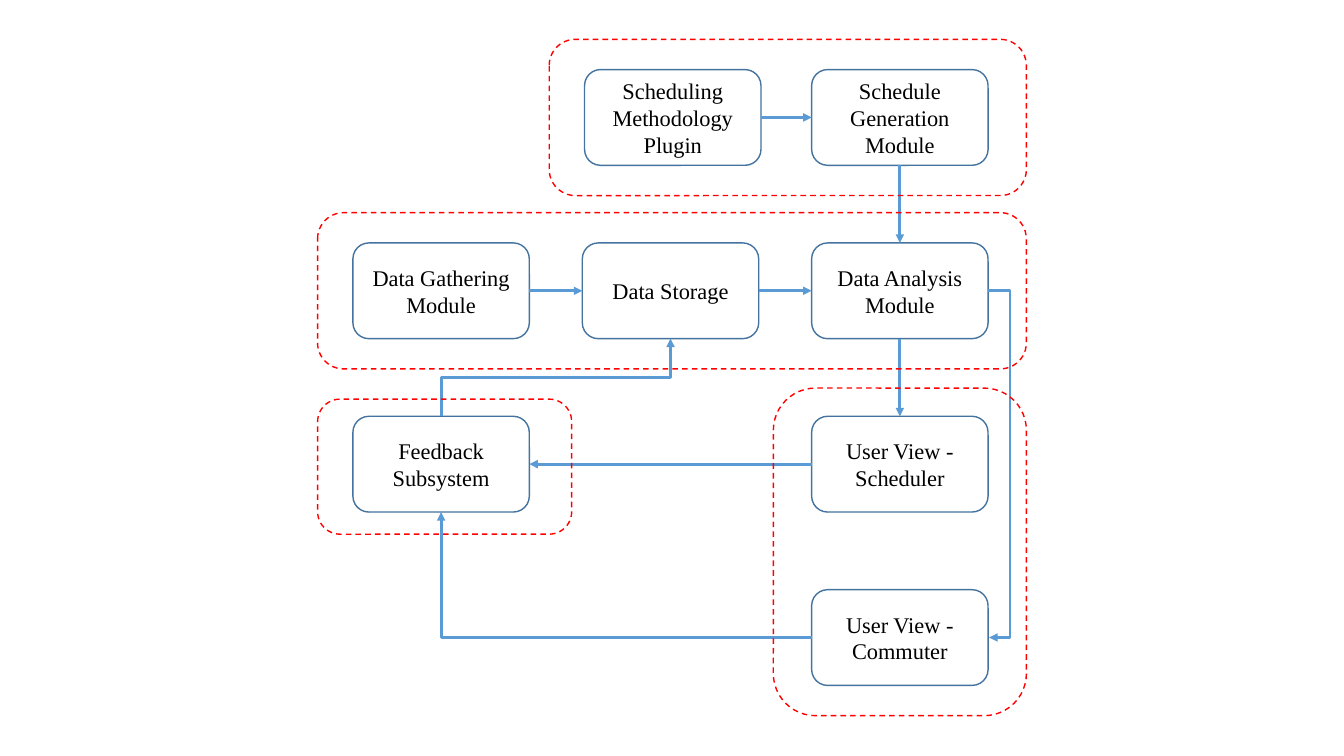
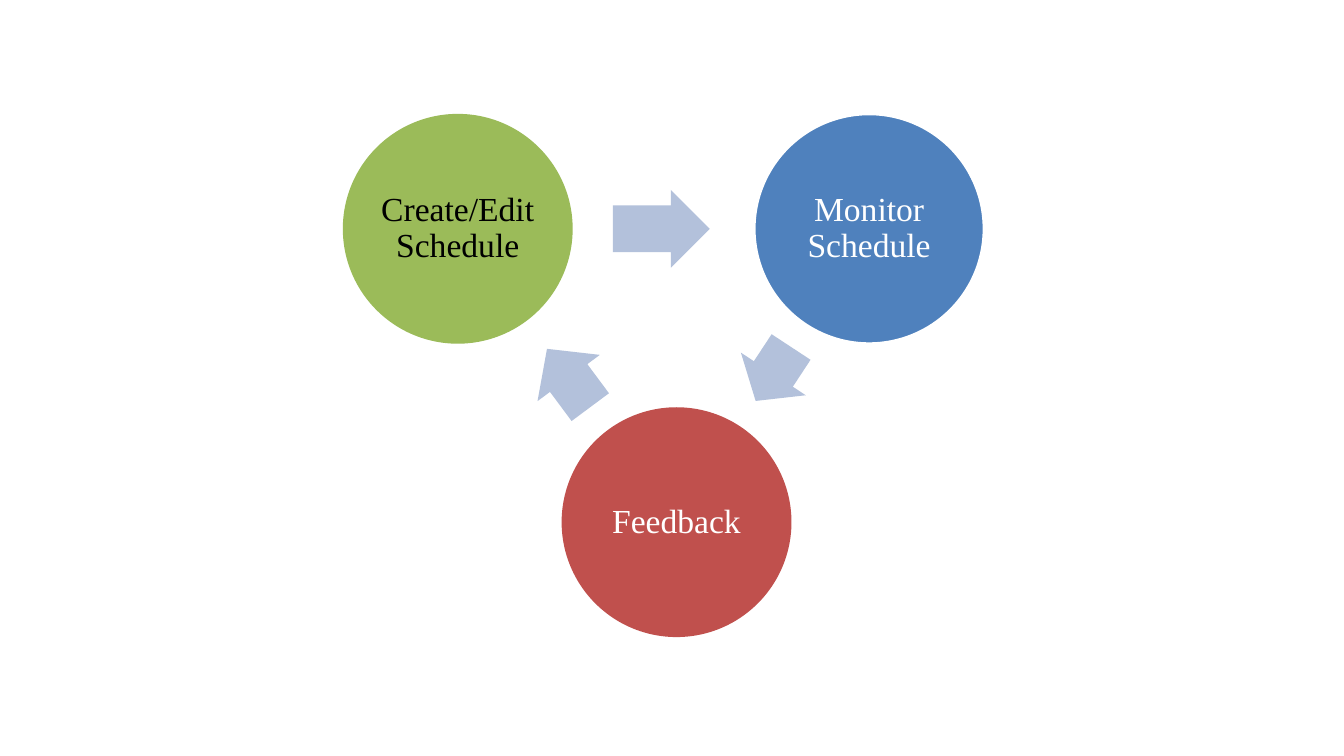
from dataclasses import dataclass
from typing import Optional

from lxml.etree import SubElement
from pptx import Presentation
from pptx.dml.color import RGBColor
from pptx.enum.dml import MSO_LINE
from pptx.enum.shapes import MSO_CONNECTOR, MSO_SHAPE
from pptx.enum.text import MSO_ANCHOR, PP_ALIGN
from pptx.oxml.ns import qn
from pptx.util import Inches, Pt

# Shared style
FONT = "Times New Roman"
BLACK = RGBColor(0x00, 0x00, 0x00)
WHITE = RGBColor(0xFF, 0xFF, 0xFF)
RED = RGBColor(0xFF, 0x00, 0x00)
BLUE = RGBColor(0x5B, 0x9B, 0xD5)
NAVY = RGBColor(0x43, 0x73, 0x9E)
GREEN = RGBColor(0x9B, 0xBB, 0x59)
AZURE = RGBColor(0x4F, 0x81, 0xBD)
BRICK = RGBColor(0xC0, 0x50, 0x4D)
PALE = RGBColor(0xB3, 0xC1, 0xDB)

# Module grid, in inches
LEFT, TOP = 3.5, 0.69
STEP, RISE = 2.275, 1.72
WIDE, HIGH = 1.75, 0.95
UP, WEST, DOWN, EAST = range(4)


@dataclass
class Box:
    text: str
    col: float
    row: float

    @property
    def x(self) -> float:
        return LEFT + self.col * STEP

    @property
    def y(self) -> float:
        return TOP + self.row * RISE

    @property
    def mid(self) -> tuple[float, float]:
        return self.x + WIDE / 2, self.y + HIGH / 2


@dataclass
class Frame:
    first: str
    last: str
    left: float = 0.35
    top: float = 0.3
    right: float = 0.38
    base: float = 0.3


@dataclass
class Link:
    start: str
    out: int
    end: str
    into: int


@dataclass
class Disc:
    text: str
    x: float
    y: float
    fill: RGBColor
    ink: RGBColor
    edge: Optional[RGBColor] = None


@dataclass
class Arrow:
    x: float
    y: float
    wide: float
    turn: float


BOXES = {
    "plugin": Box("Scheduling Methodology Plugin", 1.01, 0),
    "maker": Box("Schedule Generation Module", 2, 0),
    "gather": Box("Data Gathering\nModule", 0, 1),
    "store": Box("Data Storage", 1, 1),
    "study": Box("Data Analysis\nModule", 2, 1),
    "feed": Box("Feedback Subsystem", 0, 2),
    "planner": Box("User View - Scheduler", 2, 2),
    "rider": Box("User View - Commuter", 2, 3),
}
LINKS = [
    Link("plugin", EAST, "maker", WEST),
    Link("maker", DOWN, "study", UP),
    Link("gather", EAST, "store", WEST),
    Link("store", EAST, "study", WEST),
    Link("study", DOWN, "planner", UP),
    Link("planner", WEST, "feed", EAST),
]
FRAMES = [
    Frame("plugin", "maker"),
    Frame("gather", "study"),
    Frame("planner", "rider", left=0.38, top=0.28),
    Frame("feed", "feed", top=0.17, right=0.42, base=0.22),
]

# Cycle: centres in inches
SIZE, THICK = 2.28, 0.77
DISCS = [
    Disc("Create/Edit Schedule", 4.54, 2.27, GREEN, BLACK),
    Disc("Monitor Schedule", 8.62, 2.27, AZURE, WHITE, WHITE),
    Disc("Feedback", 6.71, 5.18, BRICK, WHITE),
]
ARROWS = [
    Arrow(6.56, 2.27, 0.96, 0),
    Arrow(7.67, 3.71, 0.64, 123.3),
    Arrow(5.64, 3.75, 0.72, 233.4),
]


def shape(slide, kind, x: float, y: float, w: float, h: float,
          fill: Optional[RGBColor] = None, edge: Optional[RGBColor] = None,
          width: float = 1):
    item = slide.shapes.add_shape(kind, Inches(x), Inches(y), Inches(w), Inches(h))
    item.shadow.inherit = False
    if fill is None:
        item.fill.background()
    else:
        item.fill.solid()
        item.fill.fore_color.rgb = fill
    if edge is None:
        item.line.fill.background()
    else:
        item.line.color.rgb = edge
        item.line.width = Pt(width)
    return item


def write(item, text: str, size: float, ink: RGBColor, space: float = 1) -> None:
    frame = item.text_frame
    frame.word_wrap = True
    frame.vertical_anchor = MSO_ANCHOR.MIDDLE
    frame.text = text
    for para in frame.paragraphs:
        para.alignment = PP_ALIGN.CENTER
        para.line_spacing = space
        para.font.name = FONT
        para.font.size = Pt(size)
        para.font.color.rgb = ink


def wire(slide, kind, x: float = 0, y: float = 0, w: float = 0, h: float = 0):
    line = slide.shapes.add_connector(
        kind, Inches(x), Inches(y), Inches(x + w), Inches(y + h))
    line.line.color.rgb = BLUE
    line.line.width = Pt(2)
    SubElement(line.line._get_or_add_ln(), qn("a:tailEnd"), type="triangle")
    SubElement(line._element.spPr, qn("a:effectLst"))
    return line


def elbow(slide, x: float, y: float, w: float, h: float, turn: int = 0,
          flip: bool = False, preset: str = "bentConnector3",
          bend: Optional[float] = None) -> None:
    props = wire(slide, MSO_CONNECTOR.ELBOW, x, y, w, h)._element.spPr
    frame, geom = props.find(qn("a:xfrm")), props.find(qn("a:prstGeom"))
    frame.set("rot", str(turn * 60000))
    if flip:
        frame.set("flipH", "1")
        frame.set("flipV", "1")
    geom.set("prst", preset)
    if bend is not None:
        SubElement(geom.find(qn("a:avLst")), qn("a:gd"),
                   name="adj1", fmla=f"val {round(bend * 100000)}")


def draw_modules(slide) -> None:
    # Modules
    made = {}
    for key, box in BOXES.items():
        made[key] = shape(slide, MSO_SHAPE.FLOWCHART_ALTERNATE_PROCESS,
                          box.x, box.y, WIDE, HIGH, edge=NAVY)
        write(made[key], box.text, 16, BLACK)

    # Straight arrows
    for link in LINKS:
        line = wire(slide, MSO_CONNECTOR.STRAIGHT)
        line.begin_connect(made[link.start], link.out)
        line.end_connect(made[link.end], link.into)

    # Bent arrows: commuter to feedback, analysis to commuter, feedback to storage
    feed, store, study, rider = (BOXES[k] for k in ("feed", "store", "study", "rider"))
    x, y = feed.mid[0], feed.y + HIGH
    elbow(slide, x, y, rider.x - x, rider.mid[1] - y, 180, preset="bentConnector2")

    gap, reach = 0.01, 0.22
    elbow(slide, study.x + WIDE, study.mid[1], gap,
          rider.mid[1] - study.mid[1], bend=reach / gap)

    run, rise = store.mid[0] - x, feed.y - store.y - HIGH
    elbow(slide, x + (run - rise) / 2, feed.y - (run + rise) / 2,
          rise, run, 90, flip=True, bend=0.5)

    # Dashed groups
    for group in FRAMES:
        first, last = BOXES[group.first], BOXES[group.last]
        x, y = first.x - group.left, first.y - group.top
        item = shape(slide, MSO_SHAPE.ROUNDED_RECTANGLE, x, y,
                     last.x + WIDE + group.right - x,
                     last.y + HIGH + group.base - y, edge=RED)
        item.line.dash_style = MSO_LINE.DASH


def draw_cycle(slide) -> None:
    for disc in DISCS:
        item = shape(slide, MSO_SHAPE.OVAL, disc.x - SIZE / 2, disc.y - SIZE / 2,
                     SIZE, SIZE, disc.fill, disc.edge, 2)
        frame = item.text_frame
        frame.margin_left = frame.margin_right = Inches(0.03)
        frame.margin_top = frame.margin_bottom = Inches(0.03)
        write(item, disc.text, 24, disc.ink, 0.9)
    for arrow in ARROWS:
        item = shape(slide, MSO_SHAPE.RIGHT_ARROW, arrow.x - arrow.wide / 2,
                     arrow.y - THICK / 2, arrow.wide, THICK, PALE)
        item.adjustments[0], item.adjustments[1] = 0.6, 0.5
        item.rotation = arrow.turn


def main() -> None:
    deck = Presentation()
    deck.slide_width, deck.slide_height = Inches(13.33), Inches(7.5)
    blank = deck.slide_layouts[6]
    for draw in (draw_modules, draw_cycle):
        draw(deck.slides.add_slide(blank))
    deck.save("out.pptx")


if __name__ == "__main__":
    main()
